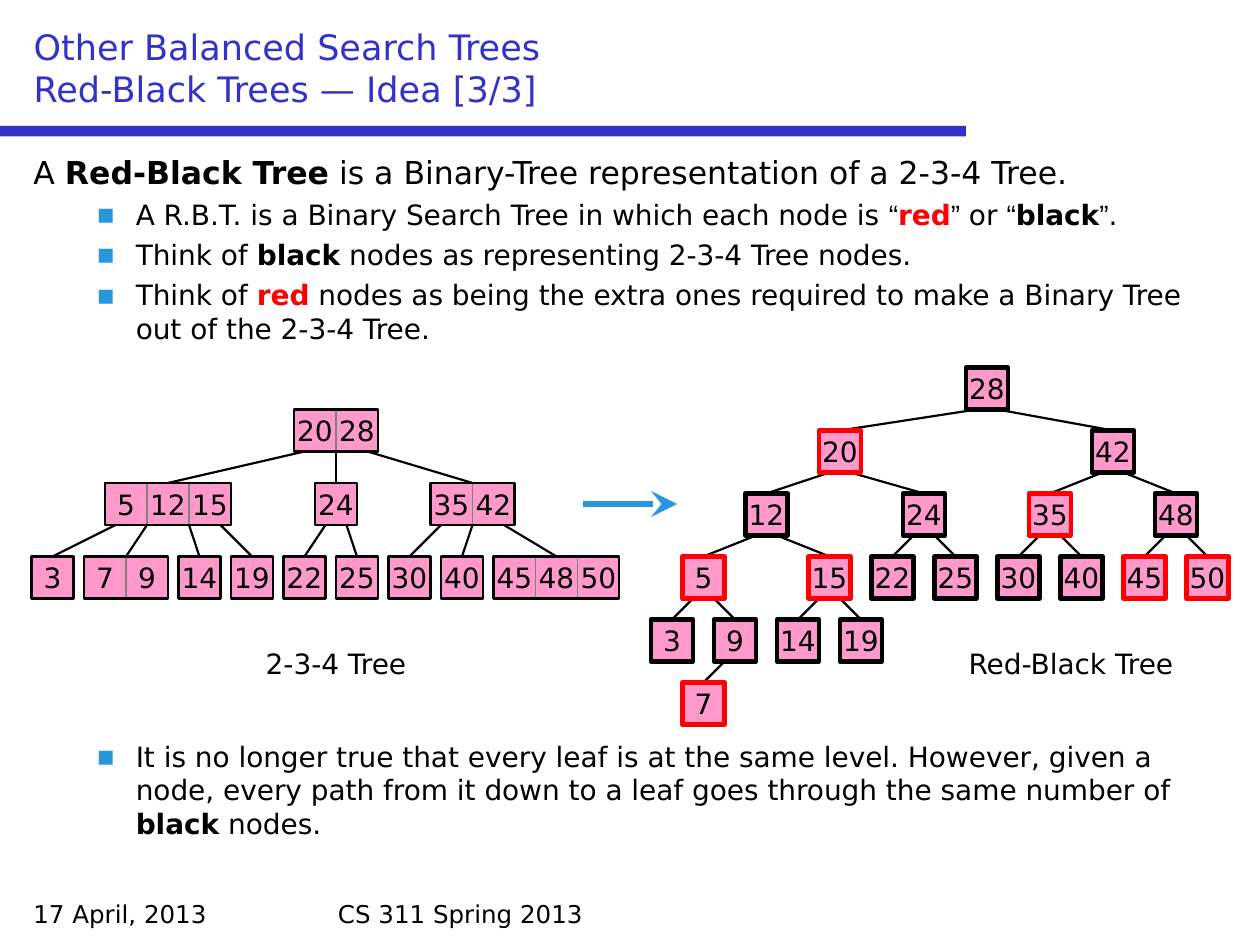
"""Build a slide comparing a 2-3-4 Tree with its Red-Black Tree representation."""
import pptx
import pptx.dml.color
import pptx.enum.shapes
import pptx.enum.text
import pptx.oxml
import pptx.oxml.ns
import pptx.util

Pt = pptx.util.Pt
MSO_SHAPE = pptx.enum.shapes.MSO_SHAPE
PP_ALIGN = pptx.enum.text.PP_ALIGN
ANCHOR = pptx.enum.text.MSO_ANCHOR
BLACK, RED, GRAY, PINK = "000000", "FF0000", "808080", "FF99CC"
NAVY, SKY = "3232C8", "2896DC"
NS = pptx.oxml.ns.nsdecls("a")
CELL = 24


def rgb(value):
    """Turn a hex string into a colour."""
    return pptx.dml.color.RGBColor.from_string(value)


def add_run(paragraph, text, size, color=BLACK, bold=False, font="DejaVu Sans"):
    """Append one formatted run to a paragraph."""
    run = paragraph.add_run()
    run.text = text
    run.font.name = font
    run.font.size = Pt(size)
    run.font.bold = bold
    run.font.color.rgb = rgb(color)


deck = pptx.Presentation()
deck.slide_width, deck.slide_height = Pt(720), Pt(540)
slide = deck.slides.add_slide(deck.slide_layouts[5])
shapes = slide.shapes

title = shapes.title
title.left, title.top, title.width, title.height = Pt(12), Pt(12), Pt(696), Pt(54)
title.text_frame.auto_size = pptx.enum.text.MSO_AUTO_SIZE.NONE
title.text_frame.vertical_anchor = ANCHOR.BOTTOM
heading = title.text_frame.paragraphs[0]
heading.alignment = PP_ALIGN.LEFT
add_run(heading, "Other Balanced Search Trees", 20, NAVY)
heading.add_line_break()
add_run(heading, "Red-Black Trees — Idea [3/3]", 20, NAVY)

rule = shapes.add_shape(MSO_SHAPE.RECTANGLE, 0, Pt(72), Pt(552), Pt(6))
rule.shadow.inherit = False
rule.fill.solid()
rule.fill.fore_color.rgb = rgb(NAVY)
rule.line.fill.background()

open_quote = ("“", BLACK, False, "Arial")
close_quote = ("”", BLACK, False, "Arial")
red_word, black_word = ("red", RED, True), ("black", BLACK, True)
idea = [
    (18, [("A ",), ("Red-Black Tree", BLACK, True),
          (" is a Binary-Tree representation of a 2-3-4 Tree.",)]),
    (16, [("A R.B.T. is a Binary Search Tree in which each node is ",),
          open_quote, red_word, close_quote, (" or ",),
          open_quote, black_word, close_quote, (".",)]),
    (16, [("Think of ",), black_word, (" nodes as representing 2-3-4 Tree nodes.",)]),
    (16, [("Think of ",), red_word,
          (" nodes as being the extra ones required to make a Binary Tree"
           " out of the 2-3-4 Tree.",)]),
]
consequence = [
    (16, [("It is no longer true that every leaf is at the same level. However, given a"
           " node, every path from it down to a leaf goes through the same number of ",),
          black_word, (" nodes.",)]),
]
for top, height, statements in [(84, 120, idea), (419, 70, consequence)]:
    frame = shapes.add_textbox(Pt(12), Pt(top), Pt(696), Pt(height)).text_frame
    frame.word_wrap = True
    for index, (size, runs) in enumerate(statements):
        paragraph = frame.paragraphs[0] if index == 0 else frame.add_paragraph()
        if size == 16:
            paragraph.level = 1
            properties = paragraph._p.get_or_add_pPr()
            properties.set("marL", str(Pt(58.5)))
            properties.set("indent", str(Pt(-22.5)))
            for xml in (f'<a:buClr {NS}><a:srgbClr val="{SKY}"/></a:buClr>',
                        f'<a:buFont {NS} typeface="DejaVu Sans"/>',
                        f'<a:buChar {NS} char="▪"/>'):
                properties.append(pptx.oxml.parse_xml(xml))
        if index:
            paragraph.space_before = Pt(3.75)
        for run in runs:
            add_run(paragraph, run[0], size, *run[1:])

two_three_four = {
    "20 28": (168, 234, BLACK, ["5 12 15", "24", "35 42"]),
    "5 12 15": (60, 276, BLACK, ["3", "7 9", "14", "19"]),
    "24": (180, 276, BLACK, ["22", "25"]),
    "35 42": (246, 276, BLACK, ["30", "40", "45 48 50"]),
}
for keys, left in [("3", 18), ("7 9", 48), ("14", 102), ("19", 132), ("22", 162),
                   ("25", 192), ("30", 222), ("40", 252), ("45 48 50", 282)]:
    two_three_four[keys] = (left, 318, BLACK, [])

red_black = {
    "28": (552, 210, BLACK, ["20", "42"]),
    "20": (468, 246, RED, ["12", "24"]),
    "42": (624, 246, BLACK, ["35", "48"]),
    "12": (426, 282, BLACK, ["5", "15"]),
    "24": (516, 282, BLACK, ["22", "25"]),
    "35": (588, 282, RED, ["30", "40"]),
    "48": (660, 282, BLACK, ["45", "50"]),
    "5": (390, 318, RED, ["3", "9"]),
    "15": (462, 318, RED, ["14", "19"]),
    "22": (498, 318, BLACK, []),
    "25": (534, 318, BLACK, []),
    "30": (570, 318, BLACK, []),
    "40": (606, 318, BLACK, []),
    "45": (642, 318, RED, []),
    "50": (678, 318, RED, []),
    "3": (372, 354, BLACK, []),
    "9": (408, 354, BLACK, ["7"]),
    "14": (444, 354, BLACK, []),
    "19": (480, 354, BLACK, []),
    "7": (390, 390, RED, []),
}

links = []
cells = []
for tree, border in [(two_three_four, 1.25), (red_black, 2.5)]:
    for keys, (left, top, color, children) in tree.items():
        labels = keys.split()
        width = CELL * len(labels)
        for slot, child in enumerate(children):
            start = left + min(max(CELL * slot, 6), width - 6)
            child_left, child_top = tree[child][:2]
            end = child_left + CELL * len(child.split()) / 2
            links.append((start, top + CELL, end, child_top, BLACK, 1.25))
        if len(labels) == 1:
            cells.append((keys, left, top, CELL, color, border))
        else:
            for slot, label in enumerate(labels):
                cells.append((label, left + CELL * slot, top, CELL, GRAY, 0.75))
            cells.append(("", left, top, width, color, border))
links.append((333, 288, 387, 288, SKY, 3))

for x1, y1, x2, y2, color, weight in links:
    link = shapes.add_connector(pptx.enum.shapes.MSO_CONNECTOR.STRAIGHT,
                                Pt(x1), Pt(y1), Pt(x2), Pt(y2))
    link.line.color.rgb = rgb(color)
    link.line.width = Pt(weight)
    link._element.spPr.append(pptx.oxml.parse_xml(f"<a:effectLst {NS}/>"))
arrow_line = link.line._get_or_add_ln()
arrow_line.append(pptx.oxml.parse_xml(f'<a:tailEnd {NS} type="stealth" w="lg" len="lg"/>'))

for label, left, top, width, color, border in cells:
    cell = shapes.add_shape(MSO_SHAPE.RECTANGLE, Pt(left), Pt(top), Pt(width), Pt(CELL))
    cell.shadow.inherit = False
    cell.line.color.rgb = rgb(color)
    cell.line.width = Pt(border)
    if label:
        cell.fill.solid()
        cell.fill.fore_color.rgb = rgb(PINK)
        cell.text_frame.word_wrap = False
        cell.text_frame.vertical_anchor = ANCHOR.MIDDLE
        cell.text_frame.paragraphs[0].alignment = PP_ALIGN.CENTER
        add_run(cell.text_frame.paragraphs[0], label, 16)
    else:
        cell.fill.background()

for text, left, top, width, height, size, alignment in [
    ("2-3-4 Tree", 132, 366, 120, 26.5, 16, PP_ALIGN.CENTER),
    ("Red-Black Tree", 540, 366, 144, 26.5, 16, PP_ALIGN.CENTER),
    ("17 April, 2013", 12, 510, 168, 24, 14, PP_ALIGN.LEFT),
    ("CS 311 Spring 2013", 186, 510, 348, 24, 14, PP_ALIGN.LEFT),
]:
    frame = shapes.add_textbox(Pt(left), Pt(top), Pt(width), Pt(height)).text_frame
    frame.word_wrap = True
    frame.paragraphs[0].alignment = alignment
    add_run(frame.paragraphs[0], text, size)

deck.save("out.pptx")
